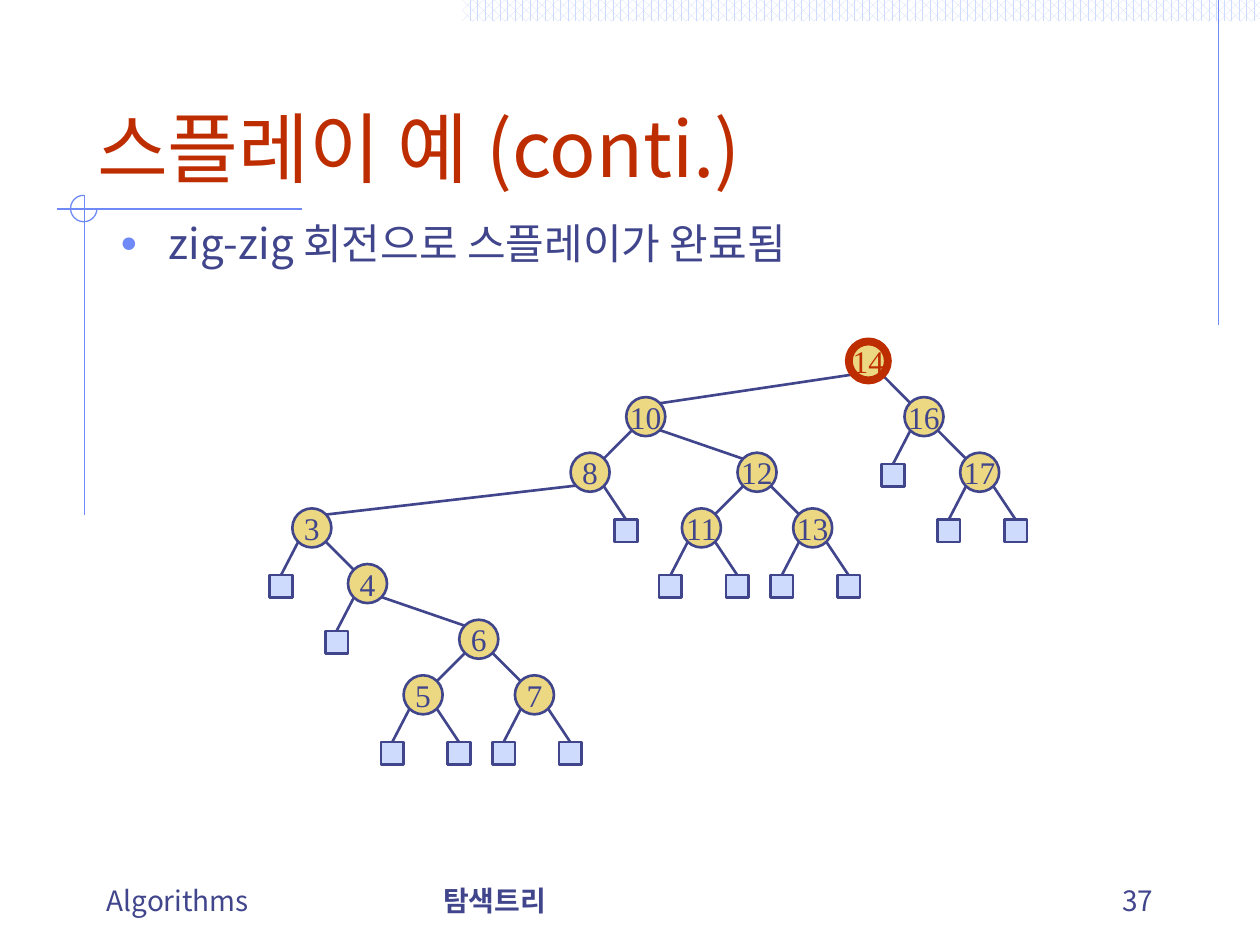
"""Build the final splay tree slide of the zig-zig example."""
import lxml.etree
import pptx
import pptx.dml.color
import pptx.enum.dml
import pptx.enum.shapes
import pptx.enum.text
import pptx.oxml.ns
import pptx.util

Inches = pptx.util.Inches
Pt = pptx.util.Pt
KIND = pptx.enum.shapes.MSO_SHAPE
ALIGN = pptx.enum.text.PP_ALIGN
ANCHOR = pptx.enum.text.MSO_ANCHOR
qn = pptx.oxml.ns.qn

SANS, SERIF = "Noto Sans CJK KR", "Times New Roman"
NAVY, RED, BLUE, PALE, GOLD = "40458C", "BE2D00", "6F89F7", "CFDBFD", "ECD882"


def tint(fill, color):
    fill.solid()
    fill.fore_color.rgb = pptx.dml.color.RGBColor.from_string(color)


def write(shape, text, size=16, color=NAVY, font=SANS, bold=False,
          align=ALIGN.LEFT, anchor=ANCHOR.BOTTOM, wrap=True, inset=None):
    frame = shape.text_frame
    frame.auto_size = pptx.enum.text.MSO_AUTO_SIZE.NONE
    frame.word_wrap = wrap
    frame.vertical_anchor = anchor
    if inset is not None:
        frame.margin_left = frame.margin_right = Inches(inset)
        frame.margin_top = frame.margin_bottom = Inches(inset)
    para = frame.paragraphs[0]
    para.alignment = align
    run = para.add_run()
    run.text = text
    run.font.size = Pt(size)
    run.font.bold = bold
    tint(run.font.fill, color)
    run.font.name = font
    lxml.etree.SubElement(run.font._element, qn("a:ea"), typeface=font)
    return para


deck = pptx.Presentation()
deck.slide_width, deck.slide_height = Inches(10), Inches(7.5)
slide = deck.slides.add_slide(deck.slide_layouts[1])
shapes = slide.shapes

title, body = slide.placeholders
for holder, box in ((title, (0.67, 0.33, 8.63, 1.25)), (body, (0.86, 1.72, 8.36, 0.63))):
    holder.left, holder.top, holder.width, holder.height = map(Inches, box)
write(title, "스플레이 예 (conti.)", size=44, color=RED)
para = write(body, "zig-zig 회전으로 스플레이가 완료됨", size=24, anchor=ANCHOR.TOP)
para.line_spacing = 0.9
para.space_before = Pt(4.8)
props = para._p.get_or_add_pPr()
props.set("marL", str(Inches(0.38)))
props.set("indent", str(Inches(-0.38)))
mark = lxml.etree.SubElement(props, qn("a:buClr"))
lxml.etree.SubElement(mark, qn("a:srgbClr"), val=BLUE)
lxml.etree.SubElement(props, qn("a:buSzPct"), val="110000")
lxml.etree.SubElement(props, qn("a:buChar"), char="•")

strip = shapes.add_shape(KIND.RECTANGLE, Inches(3.67), 0, Inches(6.33), Inches(0.17))
strip.shadow.inherit = False
strip.line.fill.background()
strip.fill.patterned()
strip.fill.pattern = pptx.enum.dml.MSO_PATTERN.PERCENT_60
strip.fill.fore_color.rgb = pptx.dml.color.RGBColor.from_string(PALE)
strip.fill.back_color.rgb = pptx.dml.color.RGBColor.from_string("FFFFFF")

arc = shapes.add_shape(KIND.ARC, Inches(0.56), Inches(1.55), Inches(0.21), Inches(0.21))
arc.adjustments[0], arc.adjustments[1] = 0, 162
arc.shadow.inherit = False
arc.fill.background()
tint(arc.line.fill, BLUE)
arc.line.width = Pt(0.75)

for left, width, text, bold, align in (
    (0.75, 2.37, "Algorithms", False, ALIGN.LEFT),
    (3.42, 3.17, "탐색트리", True, ALIGN.LEFT),
    (7.17, 2.08, "37", False, ALIGN.RIGHT),
):
    box = shapes.add_textbox(Inches(left), Inches(6.83), Inches(width), Inches(0.5))
    write(box, text, bold=bold, align=align)

tree = {
    14: (10, 16), 10: (8, 12), 16: (None, 17), 8: (3, None), 12: (11, 13),
    17: (None, None), 3: (None, 4), 11: (None, None), 13: (None, None),
    4: (None, 6), 6: (5, 7), 5: (None, None), 7: (None, None),
}
root, step, node, leaf = 14, 5.3 / 12, 0.31, 0.18
near, far = 0.05, 0.26
cols = {key: 2.32 + step * rank for rank, key in enumerate(sorted(tree))}
rows = {root: 2.71}
lines = [
    (9.67, 0, 9.67, 2.58, BLUE, 0.75),
    (2.4, 1.66, 0.45, 1.66, BLUE, 0.75),
    (0.67, 1.55, 0.67, 4.09, BLUE, 0.75),
]
leaves = []
for key, kids in tree.items():
    x, y = cols[key], rows[key]
    for kid, start, end, shift in zip(kids, (near, far), (far, near), (-0.18, 0.35)):
        if kid:
            rows[kid] = rows[key] + step * (1 if key != root else 1)
            tip = cols[kid] + end, rows[kid] + near
        elif (key, start) in ((16, far), (8, near)):
            continue
        else:
            leaves.append((x + shift, y + 0.53))
            tip = x + shift + leaf / 2, y + 0.53
        lines.append((*tip, x + start, y + far, NAVY, 1.5))

for x1, y1, x2, y2, color, width in lines:
    line = shapes.add_connector(pptx.enum.shapes.MSO_CONNECTOR.STRAIGHT,
                                Inches(x1), Inches(y1), Inches(x2), Inches(y2))
    tint(line.line.fill, color)
    line.line.width = Pt(width)
    lxml.etree.SubElement(line._element.spPr, qn("a:effectLst"))

for x, y in leaves:
    box = shapes.add_shape(KIND.RECTANGLE, Inches(x), Inches(y), Inches(leaf), Inches(leaf))
    box.shadow.inherit = False
    tint(box.fill, PALE)
    tint(box.line.fill, NAVY)
    box.line.width = Pt(1.5)

for key in tree:
    ball = shapes.add_shape(KIND.OVAL, Inches(cols[key]), Inches(rows[key]),
                            Inches(node), Inches(node))
    color, width = (RED, 4.5) if key == root else (NAVY, 1.5)
    ball.shadow.inherit = False
    tint(ball.fill, GOLD)
    tint(ball.line.fill, color)
    ball.line.width = Pt(width)
    write(ball, str(key), size=18, color=color, font=SERIF, align=ALIGN.CENTER,
          anchor=ANCHOR.MIDDLE, wrap=False, inset=0)

deck.save("out.pptx")
